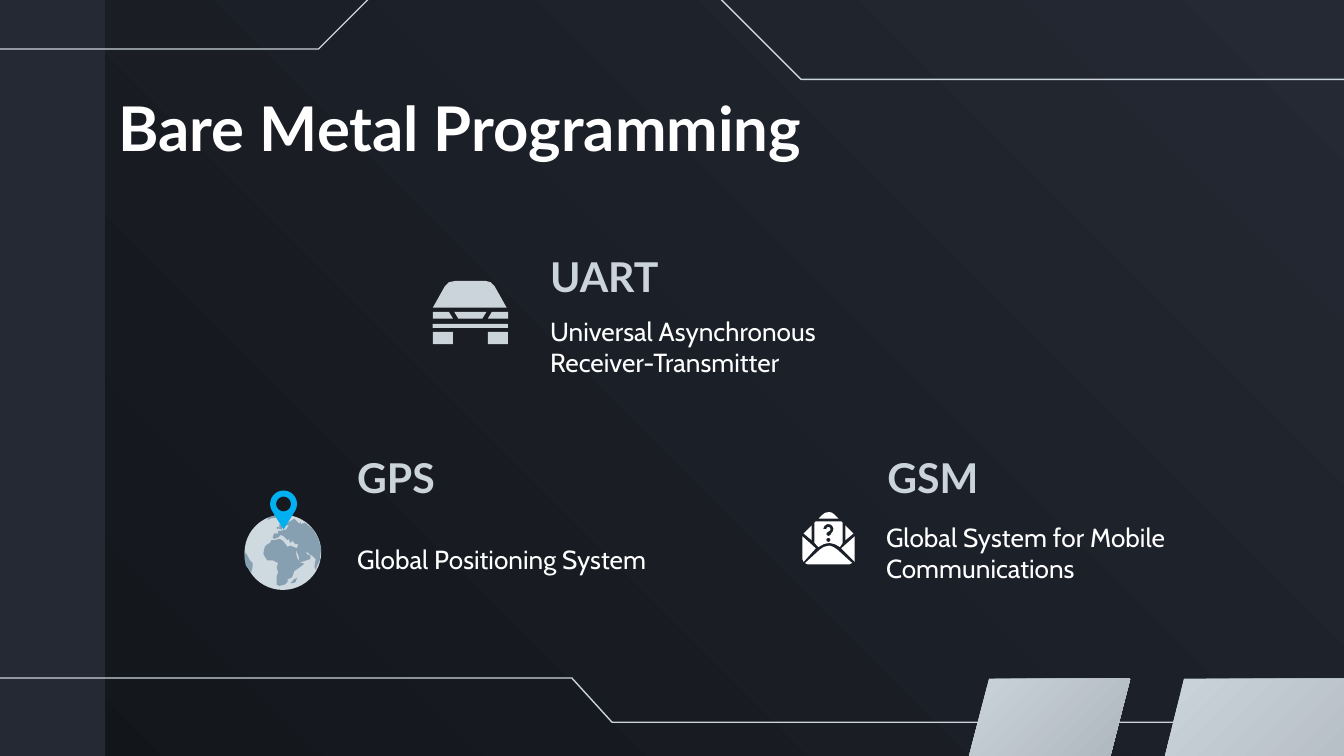
"""Builds the Bare Metal Programming slide on a grid of 1000 columns."""
from math import cos, radians, sin

from pptx import Presentation
from pptx.dml.color import RGBColor
from pptx.enum.shapes import MSO_SHAPE
from pptx.enum.text import MSO_ANCHOR
from pptx.util import Inches, Pt

CELL = Inches(0.01)
COLUMNS, ROWS = 1000, 562.5
COLORS = {
    "night": "12151A", "slate": "242933", "silver": "CCD4DB", "steel": "ABB3BB",
    "white": "FFFFFF", "ocean": "CFD9E0", "land": "869FB1", "pin": "00B0F0",
}
TOPICS = [
    ("UART", (399.5, 189), "Universal Asynchronous Receiver-Transmitter", (399.5, 224.5)),
    ("GPS", (256, 338.5), "Global Positioning System", (256, 394.5)),
    ("GSM", (650.5, 338.5), "Global System for Mobile Communications", (649.5, 378)),
]
CAR_PANELS = [
    [(338, 232), (341, 237), (359, 237), (362, 232)],
    [(366, 232), (363, 237), (378, 237), (378, 232)],
    [(322, 232), (322, 237), (337, 237), (334, 232)],
    [(339, 209), (334, 210), (331, 213), (322, 229), (377, 229), (368, 213),
     (365, 210), (361, 209)],
]
CONTINENTS = [
    [(219, 386), (216, 388), (214, 389), (213, 391), (215, 391), (213, 394),
     (209, 395), (207, 395), (207, 397), (204, 397), (203, 400), (204, 401),
     (207, 400), (209, 398), (211, 399), (214, 402), (215, 401), (213, 398),
     (215, 401), (216, 404), (217, 403), (218, 402), (218, 403), (220, 405),
     (222, 405), (221, 408), (216, 406), (214, 407), (211, 403), (210, 402),
     (208, 401), (204, 402), (202, 402), (201, 404), (199, 405), (197, 407),
     (196, 412), (197, 414), (199, 417), (203, 417), (207, 419), (206, 422),
     (207, 426), (206, 429), (206, 435), (208, 436), (212, 435), (214, 433),
     (214, 431), (217, 430), (218, 428), (219, 425), (222, 423), (226, 420),
     (226, 419), (223, 419), (225, 418), (231, 416), (231, 413), (229, 413),
     (227, 410), (230, 412), (233, 414), (235, 416), (234, 422), (235, 424),
     (236, 421), (238, 417), (239, 408), (237, 401), (233, 394), (227, 389),
     (224, 390), (224, 388), (223, 390), (222, 389), (220, 387)],
    [(182, 410), (182, 416), (183, 421), (187, 426), (188, 422), (188, 419),
     (186, 417), (184, 413), (183, 412)],
    [(210, 383), (205, 383.6), (200, 385), (199, 387), (202, 385.6), (208, 385), (212, 383)],
    [(221, 430), (219, 431), (216, 434), (218, 434), (220, 433)],
    [(208, 390), (208, 393), (207, 393), (209, 394), (210, 394), (210, 391)],
    [(206, 386), (207, 387), (208, 386)],
    [(206, 392), (206, 394), (208, 392)],
]
RED_SEA = [(220, 409), (222, 413), (223, 418), (221, 415)]
ENVELOPE_PARTS = [
    [(636, 399), (626, 408), (636, 418)],
    [(597, 399), (597, 416), (598, 418), (607, 408)],
    [(604, 391), (598, 397), (604, 402)],
    [(629, 391), (629, 402), (635, 397)],
    [(617, 381), (614, 381.5), (612, 383), (609, 386), (624, 386), (621, 383), (619, 381.5)],
    [(617, 406), (613, 407), (610, 409), (599, 419), (601, 420), (632, 420),
     (634, 419), (623, 409), (620, 407)],
]


def cells(*lengths):
    """Convert grid lengths to slide units."""
    return [round(length * CELL) for length in lengths]


def arc(center_x, center_y, radius, start=0, end=345, steps=24):
    """Return points along a circular arc, with angles in degrees."""
    angles = [radians(start + (end - start) * step / steps) for step in range(steps + 1)]
    return [(center_x + radius * cos(a), center_y + radius * sin(a)) for a in angles]


class SlideBuilder:
    """Holds the style and the slide being filled."""

    def __init__(self, presentation):
        """Add a blank slide with a diagonal background."""
        self.slide = presentation.slides.add_slide(presentation.slide_layouts[6])
        self.shapes = self.slide.shapes
        self.gradient(self.slide.background.fill, ("night", "slate"), 45)

    def color(self, name):
        """Return a named colour."""
        return RGBColor.from_string(COLORS[name])

    def gradient(self, fill, names, angle):
        """Give a fill a two-colour linear gradient."""
        fill.gradient()
        fill.gradient_angle = angle
        for stop, name in zip(fill.gradient_stops, names):
            stop.color.rgb = self.color(name)

    def paint(self, shape, name):
        """Fill a shape with one colour and no outline."""
        shape.shadow.inherit = False
        shape.line.fill.background()
        shape.fill.solid()
        shape.fill.fore_color.rgb = self.color(name)

    def preset(self, kind, left, top, width, height, name):
        """Add a filled preset shape."""
        self.paint(self.shapes.add_shape(kind, *cells(left, top, width, height)), name)

    def outline(self, contours, close=True):
        """Build a freeform from one or more contours."""
        scaled = [[cells(*point) for point in points] for points in contours]
        builder = self.shapes.build_freeform(*scaled[0][0])
        builder.add_line_segments(scaled[0][1:], close=close)
        for points in scaled[1:]:
            builder.move_to(*points[0])
            builder.add_line_segments(points[1:], close=close)
        return builder.convert_to_shape()

    def polygon(self, name, *contours):
        """Add a filled freeform; inner contours become holes."""
        self.paint(self.outline(contours), name)

    def panel(self, points):
        """Add a metallic panel."""
        shape = self.outline([points])
        self.paint(shape, "silver")
        self.gradient(shape.fill, ("silver", "steel"), 315)

    def trace(self, points):
        """Add a thin open line."""
        shape = self.outline([points], close=False)
        shape.shadow.inherit = False
        shape.fill.background()
        shape.line.color.rgb = self.color("silver")
        shape.line.width = Pt(0.75)

    def text(self, words, place, size, font, points, name, bold=False, anchor=MSO_ANCHOR.TOP):
        """Add a text box with one styled paragraph."""
        frame = self.shapes.add_textbox(*cells(*place, *size)).text_frame
        frame.word_wrap = True
        frame.vertical_anchor = anchor
        frame.margin_left = frame.margin_right = 10 * CELL
        frame.margin_top = frame.margin_bottom = 10 * CELL
        frame.text = words
        style = frame.paragraphs[0].runs[0].font
        style.name, style.size, style.bold = font, Pt(points), bold
        style.color.rgb = self.color(name)

    def car(self):
        """Draw the car icon."""
        for points in CAR_PANELS:
            self.polygon("silver", points)
        self.preset(MSO_SHAPE.RECTANGLE, 322, 241, 56, 3, "silver")
        for left in (322, 363):
            self.preset(MSO_SHAPE.RECTANGLE, left, 247, 15, 9, "silver")

    def globe(self):
        """Draw the globe with its map pin."""
        self.preset(MSO_SHAPE.OVAL, 182, 383, 57, 56, "ocean")
        self.polygon("land", CONTINENTS[0], RED_SEA)
        for points in CONTINENTS[1:]:
            self.polygon("land", points)
        self.polygon("pin", arc(211, 375, 10, 145, 395) + [(211, 394)], arc(211, 375, 5.5))

    def envelope(self):
        """Draw the open envelope with a question mark."""
        letter = [(607, 388), (606, 389), (606, 404), (609, 407), (613, 404.8), (617, 404),
                  (621, 404.8), (625, 407), (627, 404), (627, 389), (626, 388)]
        hook = arc(616.4, 393.7, 3.7, 180, 410) + [(618, 398), (616.4, 399), (615, 398), (615, 396.5)]
        self.polygon("white", letter, hook + arc(616.4, 393.7, 1.5, 410, 180), arc(616.4, 401.7, 1.5))
        for points in ENVELOPE_PARTS:
            self.polygon("white", points)


def main():
    """Build and save the presentation."""
    presentation = Presentation()
    presentation.slide_width, presentation.slide_height = cells(COLUMNS, ROWS)
    builder = SlideBuilder(presentation)
    builder.preset(MSO_SHAPE.RECTANGLE, 0, 0, 78, ROWS, "slate")
    builder.trace([(-4, 36.5), (237, 36.5), (279.5, -6), (531, -6), (596, 59), (1013, 59)])
    builder.trace([(-25, 504.5), (425.5, 504.5), (455.5, 537.5), (1042, 537.5)])
    builder.panel([(736, 505), (717, 578), (822, 579), (841, 505)])
    builder.panel([(881, 505), (863, 578), (1084, 577), (1084, 505)])
    builder.text("Bare Metal Programming", (78.5, 57), (844, 63), "Lato", 33, "white", True)
    for heading, heading_place, detail, detail_place in TOPICS:
        builder.text(heading, heading_place, (284, 45), "Lato", 22, "silver", True, MSO_ANCHOR.BOTTOM)
        builder.text(detail, detail_place, (284, 63), "Cabin", 14, "white")
    builder.car()
    builder.globe()
    builder.envelope()
    presentation.save("out.pptx")


if __name__ == "__main__":
    main()
